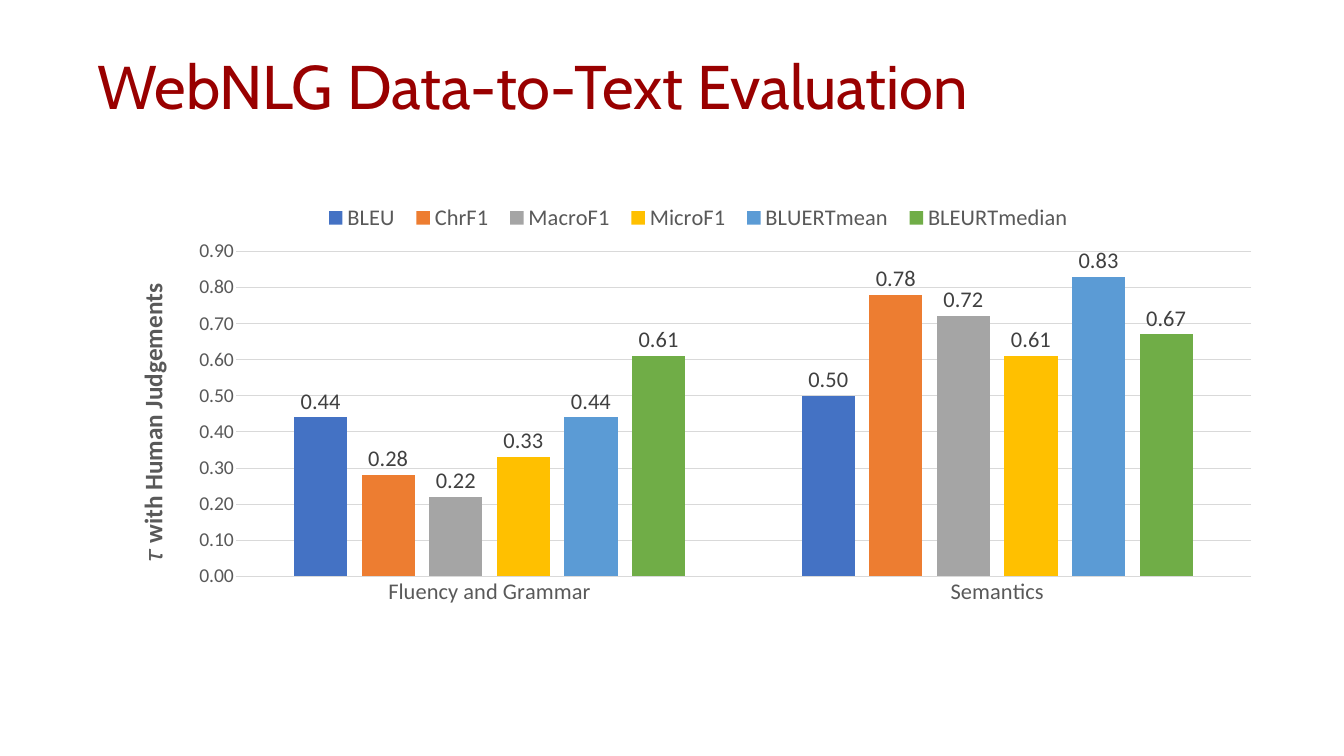
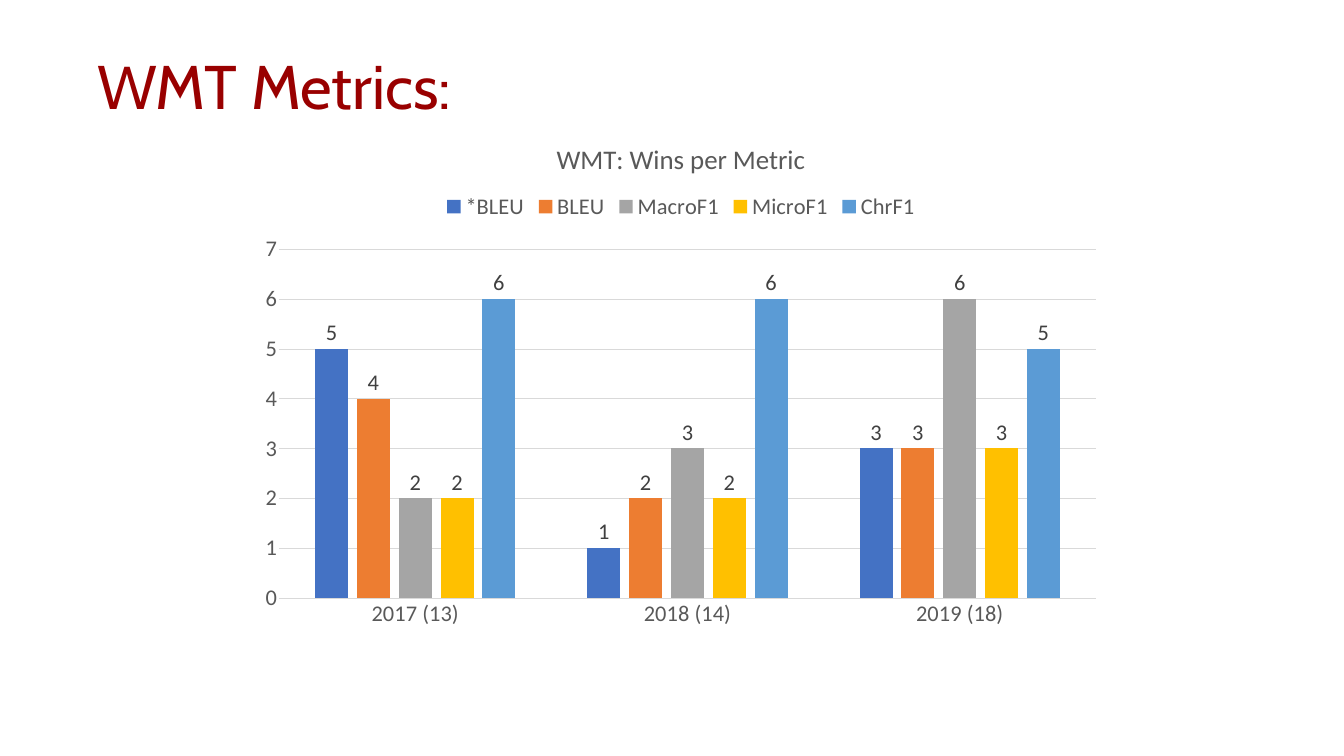
import lxml.etree
import pptx
import pptx.chart.data
import pptx.dml.color
import pptx.enum.chart
import pptx.enum.text
import pptx.util

COLORS = {
    "title": "990000", "text": "595959", "label": "404040", "grid": "D9D9D9",
    "series": ["4472C4", "ED7D31", "A5A5A5", "FFC000", "5B9BD5", "70AD47"],
}
C_NS = "http://schemas.openxmlformats.org/drawingml/2006/chart"
TITLE_BOX = (1.83, 0.75, 23, 2.06)

SLIDES = [
    {
        "title": "WebNLG Data-to-Text Evaluation",
        "box": (2.44, 3.75, 22.39, 8.83),
        "cats": ["Fluency and Grammar", "Semantics"],
        "series": {
            "BLEU": (0.44, 0.5), "ChrF1": (0.28, 0.78), "MacroF1": (0.22, 0.72),
            "MicroF1": (0.33, 0.61), "BLUERTmean": (0.44, 0.83),
            "BLEURTmedian": (0.61, 0.67),
        },
        "format": "0.00", "value_size": 28,
        "scale": {"minimum_scale": 0, "maximum_scale": 0.9, "major_unit": 0.1},
        "axis_title": "𝜏 with Human Judgements",
        "plot_layout": (0.1, 0.14, 0.9, 0.73),
        "legend_layout": (0.17, 0.03, 0.68, 0.07),
    },
    {
        "title": "WMT Metrics:",
        "box": (4.93, 2.43, 17.16, 10.23),
        "cats": ["2017 (13)", "2018 (14)", "2019 (18)"],
        "series": {
            "*BLEU": (5, 1, 3), "BLEU": (4, 2, 3), "MacroF1": (2, 3, 6),
            "MicroF1": (2, 2, 3), "ChrF1": (6, 6, 5),
        },
        "format": "General", "value_size": 32,
        "scale": {"minimum_scale": 0, "maximum_scale": 7, "major_unit": 1},
        "chart_title": "WMT: Wins per Metric",
    },
]


def set_font(font, size, color, name="Calibri", bold=False):
    fmt = {"size": pptx.util.Pt(size), "name": name, "bold": bold}
    for key, value in fmt.items():
        setattr(font, key, value)
    font.color.rgb = pptx.dml.color.RGBColor.from_string(COLORS[color])


def set_layout(parent, index, box, inner=False):
    for old in parent.findall(f"{{{C_NS}}}layout"):
        parent.remove(old)
    layout = lxml.etree.Element(f"{{{C_NS}}}layout")
    manual = lxml.etree.SubElement(layout, f"{{{C_NS}}}manualLayout")
    items = [("xMode", "edge"), ("yMode", "edge"), *zip("xywh", box)]
    if inner:
        items.insert(0, ("layoutTarget", "inner"))
    for tag, value in items:
        lxml.etree.SubElement(manual, f"{{{C_NS}}}{tag}", val=str(value))
    parent.insert(index, layout)


prs = pptx.Presentation()
prs.slide_width = pptx.util.Inches(26.67)
prs.slide_height = pptx.util.Inches(15)
grid_color = pptx.dml.color.RGBColor.from_string(COLORS["grid"])

for data in SLIDES:
    s = prs.slides.add_slide(prs.slide_layouts[5])

    # Slide title
    sp = s.shapes.title
    for key, value in zip(("left", "top", "width", "height"), TITLE_BOX):
        setattr(sp, key, pptx.util.Inches(value))
    tf = sp.text_frame
    tf.text = data["title"]
    tf.auto_size = pptx.enum.text.MSO_AUTO_SIZE.NONE
    tf.vertical_anchor = pptx.enum.text.MSO_ANCHOR.MIDDLE
    p = tf.paragraphs[0]
    p.alignment = pptx.enum.text.PP_ALIGN.LEFT
    p.line_spacing = 0.9
    set_font(p.runs[0].font, 88, "title", "Cabin")

    # Clustered columns
    cd = pptx.chart.data.CategoryChartData(number_format=data["format"])
    cd.categories = data["cats"]
    for name, values in data["series"].items():
        cd.add_series(name, values)
    chart = s.shapes.add_chart(
        pptx.enum.chart.XL_CHART_TYPE.COLUMN_CLUSTERED,
        *map(pptx.util.Inches, data["box"]), cd).chart
    set_font(chart.font, 32, "text")
    plot = chart.plots[0]
    for key, value in {"gap_width": 219, "overlap": -27,
                       "vary_by_categories": False}.items():
        setattr(plot, key, value)

    # Series colours and value labels
    for series, color in zip(plot.series, COLORS["series"]):
        series.format.fill.solid()
        series.format.fill.fore_color.rgb = pptx.dml.color.RGBColor.from_string(color)
        labels = series.data_labels
        label_format = {
            "show_value": True, "number_format": data["format"],
            "number_format_is_linked": False,
            "position": pptx.enum.chart.XL_LABEL_POSITION.OUTSIDE_END,
        }
        for key, value in label_format.items():
            setattr(labels, key, value)
        set_font(labels.font, 32, "label")

    # Axes and gridlines
    cat_axis, val_axis = chart.category_axis, chart.value_axis
    for axis, size in ((cat_axis, 32), (val_axis, data["value_size"])):
        axis.major_tick_mark = pptx.enum.chart.XL_TICK_MARK.NONE
        axis.minor_tick_mark = pptx.enum.chart.XL_TICK_MARK.NONE
        set_font(axis.tick_labels.font, size, "text")
    for key, value in data["scale"].items():
        setattr(val_axis, key, value)
    val_axis.tick_labels.number_format = data["format"]
    val_axis.tick_labels.number_format_is_linked = False
    val_axis.format.line.fill.background()
    val_axis.has_major_gridlines = True
    for line in (cat_axis.format.line, val_axis.major_gridlines.format.line):
        line.color.rgb = grid_color
        line.width = pptx.util.Pt(0.75)
    if "axis_title" in data:
        tf = val_axis.axis_title.text_frame
        tf.text = data["axis_title"]
        set_font(tf.paragraphs[0].runs[0].font, 36, "text", bold=True)

    # Chart title
    chart.has_title = "chart_title" in data
    if chart.has_title:
        tf = chart.chart_title.text_frame
        tf.text = data["chart_title"]
        set_font(tf.paragraphs[0].runs[0].font, 38.4, "text")

    # Legend and fixed layouts
    chart.has_legend = True
    legend = chart.legend
    legend.position = pptx.enum.chart.XL_LEGEND_POSITION.TOP
    legend.include_in_layout = False
    set_font(legend.font, 32, "text")
    if "plot_layout" in data:
        plot_area = chart.element.find(f".//{{{C_NS}}}plotArea")
        set_layout(plot_area, 0, data["plot_layout"], inner=True)
        set_layout(chart.element.find(f".//{{{C_NS}}}legend"), 1, data["legend_layout"])

prs.save("out.pptx")
